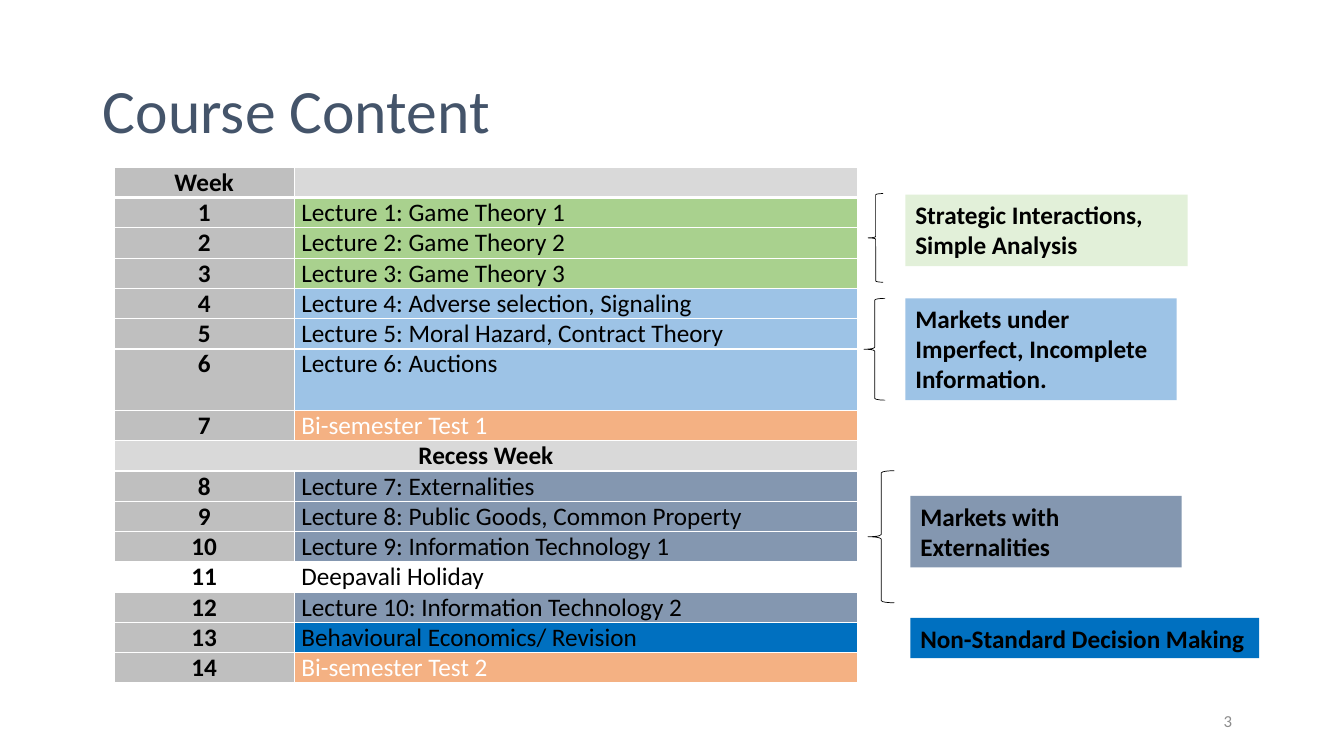
import pptx
import pptx.util
import pptx.dml.color
import pptx.enum.shapes
import pptx.enum.text
import pptx.oxml
import pptx.oxml.ns

PX = 9144  # 100 px to the inch
FONT = "Calibri"
COLOURS = {
    "title": "44546A", "number": "8C8C8C", "black": "000000", "white": "FFFFFF",
    "week": "BFBFBF", "header": "D9D9D9", "games": "A9D18E", "strategy": "E2F0D9",
    "information": "9DC3E6", "test": "F4B183", "externalities": "8497B0",
    "behaviour": "0070C0",
}
ROW_HEIGHT = 30
WEEKS = [  # week, topic, topic fill
    ("Week", "", "header"),
    ("1", "Lecture 1: Game Theory 1", "games"),
    ("2", "Lecture 2: Game Theory 2", "games"),
    ("3", "Lecture 3: Game Theory 3", "games"),
    ("4", "Lecture 4: Adverse selection, Signaling", "information"),
    ("5", "Lecture 5: Moral Hazard, Contract Theory", "information"),
    ("6", "Lecture 6: Auctions", "information"),
    ("7", "Bi-semester Test 1", "test"),
    ("Recess Week", "", "header"),
    ("8", "Lecture 7: Externalities", "externalities"),
    ("9", "Lecture 8: Public Goods, Common Property", "externalities"),
    ("10", "Lecture 9: Information Technology 1", "externalities"),
    ("11", "Deepavali Holiday", "white"),
    ("12", "Lecture 10: Information Technology 2", "externalities"),
    ("13", "Behavioural Economics/ Revision", "behaviour"),
    ("14", "Bi-semester Test 2", "test"),
]
THEMES = [  # text, fill, left, top, width, height
    ("Strategic Interactions, Simple Analysis", "strategy", 898, 193, 280, 71),
    ("Markets under Imperfect, Incomplete Information.", "information", 898, 296, 269, 101),
    ("Markets with Externalities", "externalities", 903, 492, 269, 71),
    ("Non-Standard Decision Making", "behaviour", 903, 613, 346, 40),
]
BRACES = [(861, 192, 15, 88), (857, 296, 21, 101), (861, 467, 26, 131)]
ALIGN = pptx.enum.text.PP_ALIGN
ANCHOR = pptx.enum.text.MSO_ANCHOR
FIT = pptx.enum.text.MSO_AUTO_SIZE
SHAPE = pptx.enum.shapes.MSO_SHAPE


def px(*lengths):
    return [pptx.util.Emu(length * PX) for length in lengths]


def rgb(name):
    return pptx.dml.color.RGBColor.from_string(COLOURS[name])


def paint(target, name):
    target.fill.solid()
    target.fill.fore_color.rgb = rgb(name)


def write(frame, text, size=18, colour="black", bold=False, align=ALIGN.LEFT):
    para = frame.paragraphs[0]
    para.text = text
    para.alignment = align
    para.font.name = FONT
    para.font.size = pptx.util.Pt(size)
    para.font.bold = bold
    para.font.color.rgb = rgb(colour)
    return para


def add_title(page, text):
    title = page.shapes.title
    title.left, title.top, title.width, title.height = px(92, 40, 1150, 145)
    title.text_frame.vertical_anchor = ANCHOR.MIDDLE
    title.text_frame.auto_size = FIT.NONE
    write(title.text_frame, text, 44, "title").line_spacing = 0.9


def add_page_number(page, text):
    box = page.shapes.add_textbox(*px(932, 695, 300, 40))
    box.text_frame.word_wrap = True
    box.text_frame.vertical_anchor = ANCHOR.MIDDLE
    write(box.text_frame, text, 12, "number", align=ALIGN.RIGHT)


def add_borders(cell, bottom):
    """Draw white cell edges; the bottom width is in points."""
    properties = cell._tc.get_or_add_tcPr()
    widths = {"lnL": 1, "lnR": 1, "lnT": 1, "lnB": bottom}
    for position, (tag, width) in enumerate(widths.items()):
        line = pptx.oxml.parse_xml(
            f'<a:{tag} {pptx.oxml.ns.nsdecls("a")} w="{pptx.util.Pt(width)}">'
            f'<a:solidFill><a:srgbClr val="{COLOURS["white"]}"/></a:solidFill></a:{tag}>')
        properties.insert(position, line)


def fill_cell(cell, text, fill, bottom, **style):
    cell.margin_left, cell.margin_right, cell.margin_top, cell.margin_bottom = px(7, 7, 0, 0)
    paint(cell, fill)
    add_borders(cell, bottom)
    write(cell.text_frame, text, **style)


def add_schedule(page):
    height = ROW_HEIGHT * (len(WEEKS) + 1)
    table = page.shapes.add_table(len(WEEKS), 2, *px(113, 166, 738, height)).table
    table.horz_banding = False
    table.columns[0].width, table.columns[1].width = px(179, 559)
    for index, (week, topic, fill) in enumerate(WEEKS):
        row = table.rows[index]
        row.height = px(61 if week == "6" else ROW_HEIGHT)[0]
        week_fill = fill if fill == "white" or week == "Recess Week" else "week"
        bottom = 3 if index == 0 else 1
        fill_cell(row.cells[0], week, week_fill, bottom, bold=True, align=ALIGN.CENTER)
        fill_cell(row.cells[1], topic, fill, bottom,
                  colour="white" if fill == "test" else "black")
        if week == "Recess Week":
            row.cells[0].merge(row.cells[1])
    table.cell(0, 0).vertical_anchor = ANCHOR.MIDDLE


def add_theme(page, text, fill, *place):
    box = page.shapes.add_shape(SHAPE.RECTANGLE, *px(*place))
    box.shadow.inherit = False
    paint(box, fill)
    box.line.fill.background()
    frame = box.text_frame
    frame.word_wrap = True
    frame.auto_size = FIT.SHAPE_TO_FIT_TEXT
    frame.vertical_anchor = ANCHOR.TOP
    write(frame, text, bold=True)


def add_brace(page, *place):
    brace = page.shapes.add_shape(SHAPE.LEFT_BRACE, *px(*place))
    brace.shadow.inherit = False
    brace.fill.background()
    brace.line.color.rgb = rgb("black")
    brace.line.width = pptx.util.Pt(0.5)


def main():
    deck = pptx.Presentation()
    deck.slide_width, deck.slide_height = px(1333, 750)
    page = deck.slides.add_slide(deck.slide_layouts[5])
    add_title(page, "Course Content")
    add_page_number(page, "3")
    add_schedule(page)
    for theme in THEMES:
        add_theme(page, *theme)
    for brace in BRACES:
        add_brace(page, *brace)
    deck.save("out.pptx")


if __name__ == "__main__":
    main()
